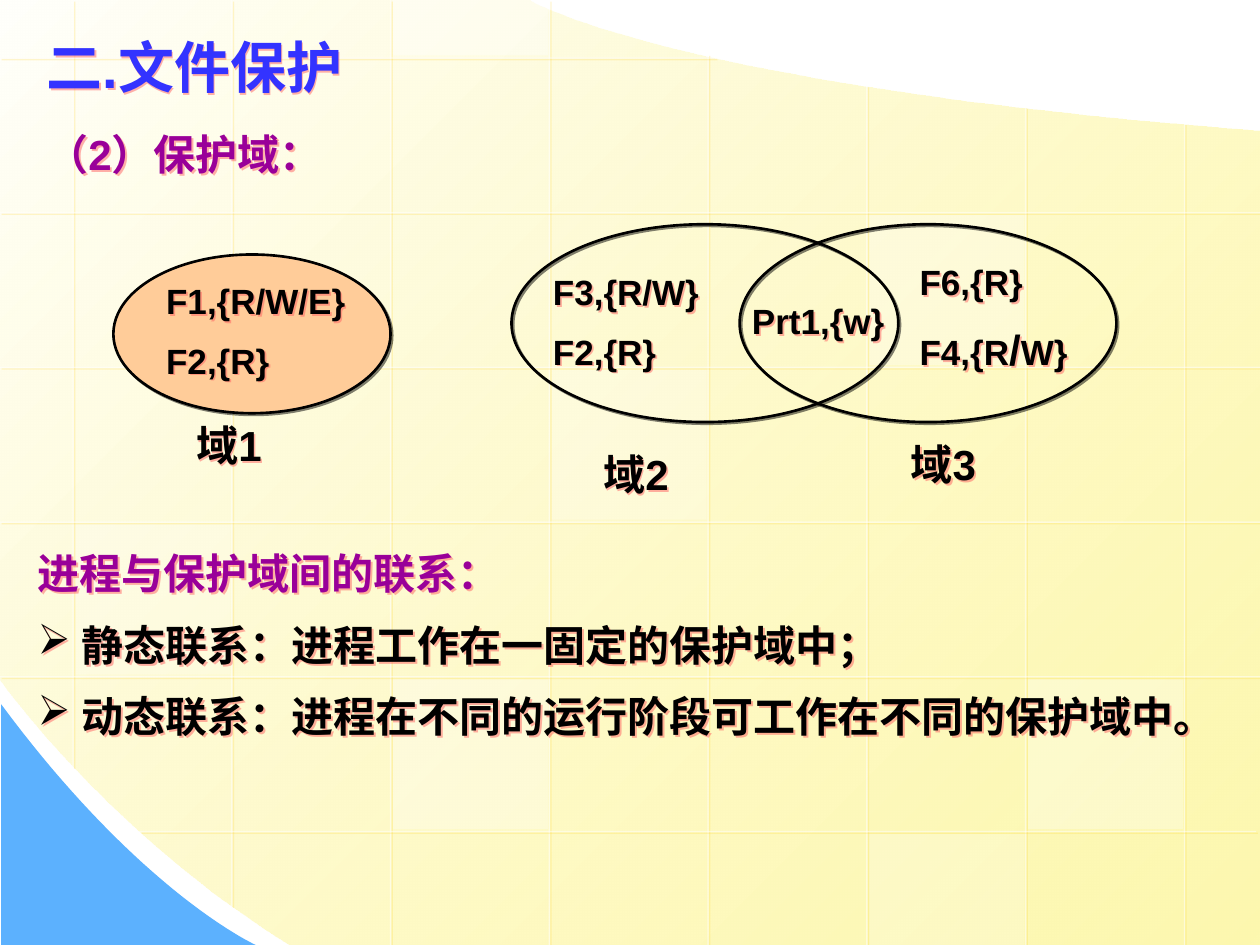
"""Build a slide about file protection domains and their link to processes."""
from dataclasses import dataclass

from lxml.etree import SubElement
from pptx import Presentation
from pptx.dml.color import RGBColor as Color
from pptx.enum.shapes import MSO_CONNECTOR as Connector, MSO_SHAPE as Preset
from pptx.enum.text import MSO_AUTO_SIZE as AutoSize
from pptx.oxml.ns import qn
from pptx.util import Inches, Pt


@dataclass(frozen=True)
class Theme:
    font: str = "Arial"
    title_size: int = 32
    heading_size: int = 24
    entry_size: int = 20
    title: str = "3333FF"
    heading: str = "990099"
    ink: str = "000000"
    white: str = "FFFFFF"
    page_start: str = "FFFFFB"
    page_end: str = "FDF58D"
    corner: str = "5CB1FE"
    domain: str = "FFCC99"
    grid_shadow: str = "FFCC00"
    text_shadow: str = "FF6161"


theme = Theme()
UNIT = Inches(0.1)
COLUMNS, ROWS = 100, 75
CELL_WIDTH, CELL_HEIGHT = 12.6, 12.28
GRID_LEFT, GRID_TOP = 5.8, 4.6
CURVE_STEPS = 40


def units(*values):
    return [round(value * UNIT) for value in values]


def curve(*controls):
    points = []
    for step in range(CURVE_STEPS + 1):
        t = step / CURVE_STEPS
        weights = ((1 - t) ** 3, 3 * t * (1 - t) ** 2, 3 * t * t * (1 - t), t ** 3)
        points.append(tuple(sum(w * c[axis] for w, c in zip(weights, controls))
                            for axis in (0, 1)))
    return points


presentation = Presentation()
presentation.slide_width, presentation.slide_height = units(COLUMNS, ROWS)
slide = presentation.slides.add_slide(presentation.slide_layouts[6])
shapes = slide.shapes
translucent, shadowed = [], []

page_outline = [
    (COLUMNS, ROWS),
    *curve((23, ROWS), (8.6, 66.1), (0, 53.9), (0, 53.9)),
    (0, 0), (42.1, 0),
    *curve((42.1, 0.1), (42.1, 0.1), (53.7, 6.9), (COLUMNS, 10.4)),
]
corner_outline = [
    (0.1, ROWS),
    *curve((20.3, ROWS), (20.3, ROWS), (11.2, 70.9), (0.1, 55.9)),
]
panels = []
for outline in (page_outline, corner_outline):
    builder = shapes.build_freeform(*units(*outline[0]), scale=1.0)
    builder.add_line_segments([units(*point) for point in outline[1:]], close=True)
    panel = builder.convert_to_shape()
    panel.shadow.inherit = False
    panel.line.fill.background()
    panels.append(panel)
page, corner = panels
corner.fill.solid()
corner.fill.fore_color.rgb = Color.from_string(theme.corner)
page.fill.gradient()
page.fill.gradient_angle = 315
for stop, color in zip(page.fill.gradient_stops, (theme.page_start, theme.page_end)):
    stop.color.rgb = Color.from_string(color)
translucent.append((page, 70))

column_spans = [(0, 60.9), (0, 71.9), (0, ROWS), (0, ROWS),
                (4.3, ROWS), (6.8, ROWS), (8.5, ROWS), (9.8, ROWS)]
row_spans = [(0, 56.8)] + [(0, COLUMNS)] * 4 + [(11.1, 99.7)]
grid_lines = []
for index, (start, end) in enumerate(column_spans):
    x = GRID_LEFT + index * CELL_WIDTH
    grid_lines.append((x, start, x, end))
for index, (start, end) in enumerate(row_spans):
    y = GRID_TOP + index * CELL_HEIGHT
    grid_lines.append((end, y, start, y))
for ends in grid_lines:
    grid_line = shapes.add_connector(Connector.STRAIGHT, *units(*ends))
    grid_line.line.width = Pt(0.75)
    grid_line.line.color.rgb = Color.from_string(theme.white)
    translucent.append((grid_line, 50))
    shadowed.append((grid_line, theme.grid_shadow, 34))

tiles = [(3, 2, 25), (6, 4, 30), (0, 3, 20), (5, 5, 20), (2, -1, 40), (2, 4, 30), (5, 1, 30)]
for column, row, opacity in tiles:
    left = GRID_LEFT + column * CELL_WIDTH + 0.2
    top = max(0, GRID_TOP + row * CELL_HEIGHT + 0.2)
    bottom = min(ROWS, GRID_TOP + (row + 1) * CELL_HEIGHT - 0.2)
    tile = shapes.add_shape(Preset.RECTANGLE, *units(left, top, 12.3, bottom - top))
    tile.shadow.inherit = False
    tile.line.fill.background()
    tile.fill.solid()
    tile.fill.fore_color.rgb = Color.from_string(theme.white)
    translucent.append((tile, opacity))

domains = [((9, 20.2, 22, 12.6), theme.domain),
           ((40.6, 17.8, 30.7, 15.7), None),
           ((58.7, 17.8, 29.9, 15.7), None)]
for place, color in domains:
    ellipse = shapes.add_shape(Preset.OVAL, *units(*place))
    if color:
        ellipse.fill.solid()
        ellipse.fill.fore_color.rgb = Color.from_string(color)
    else:
        ellipse.fill.background()
    ellipse.line.color.rgb = Color.from_string(theme.ink)
    ellipse.line.width = Pt(1.5)
    shadowed.append((ellipse, theme.ink, 50))

heading, entry = theme.heading_size, theme.entry_size
texts = [
    ((2.7, 2.1, 44.9, 6.3), theme.title_size, theme.title, ["二.文件保护"]),
    ((2.7, 9.7, 92.9, 5), heading, theme.heading, ["（2）保护域："]),
    ((14.6, 32.8, 13.4, 5), heading, theme.ink, ["域1"]),
    ((46.9, 35.1, 13.4, 5), heading, theme.ink, ["域2"]),
    ((71.3, 34.3, 13.4, 5), heading, theme.ink, ["域3"]),
    ((12.2, 21.7, 22.8, 9.3), entry, theme.ink, ["F1,{R/W/E}", "F2,{R}"]),
    ((42.9, 21, 22.8, 9.3), entry, theme.ink, ["F3,{R/W}", "F2,{R}"]),
    ((72, 20.2, 22.8, 10.3), entry, theme.ink, ["F6,{R}", ("F4,{R", "/", "W}")]),
    ((58.7, 23.3, 13.4, 4.3), entry, theme.ink, ["Prt1,{w}"]),
    ((2, 43, 98, 17), heading, theme.heading,
     ["进程与保护域间的联系：",
      "➢静态联系：进程工作在一固定的保护域中；",
      "➢动态联系：进程在不同的运行阶段可工作在不同的保护域中。"]),
]
for place, size, color, lines in texts:
    box = shapes.add_textbox(*units(*place))
    frame = box.text_frame
    frame.word_wrap = True
    frame.auto_size = AutoSize.SHAPE_TO_FIT_TEXT
    shadowed.append((box, theme.text_shadow, 50))
    for index, line in enumerate(lines):
        paragraph = frame.paragraphs[0] if index == 0 else frame.add_paragraph()
        properties = paragraph._p.get_or_add_pPr()
        bulleted = line[0] == "➢"
        if index:
            spacing = SubElement(properties, qn("a:spcBef"))
            SubElement(spacing, qn("a:spcPct"), val="50000")
        if bulleted:
            properties.set("marL", str(Inches(0.35)))
            properties.set("indent", str(-Inches(0.35)))
            SubElement(properties, qn("a:buChar"), char="➢")
            line = line[1:]
        paragraph.font.name = theme.font
        paragraph.font.bold = True
        paragraph.font.size = Pt(size)
        paragraph.font.color.rgb = Color.from_string(theme.ink if bulleted else color)
        for part in (line,) if isinstance(line, str) else line:
            run = paragraph.add_run()
            run.text = part
            if part == "/":
                run.font.size = Pt(heading)

for shape, opacity in translucent:
    color_element = shape._element.spPr.findall(".//" + qn("a:srgbClr"))[-1]
    SubElement(color_element, qn("a:alpha"), val=str(opacity * 1000))
for shape, color, opacity in shadowed:
    effects = SubElement(shape._element.spPr, qn("a:effectLst"))
    shadow = SubElement(effects, qn("a:outerShdw"), dist=str(Pt(1.4)), dir="2700000")
    color_element = SubElement(shadow, qn("a:srgbClr"), val=color)
    SubElement(color_element, qn("a:alpha"), val=str(opacity * 1000))

presentation.save("out.pptx")
